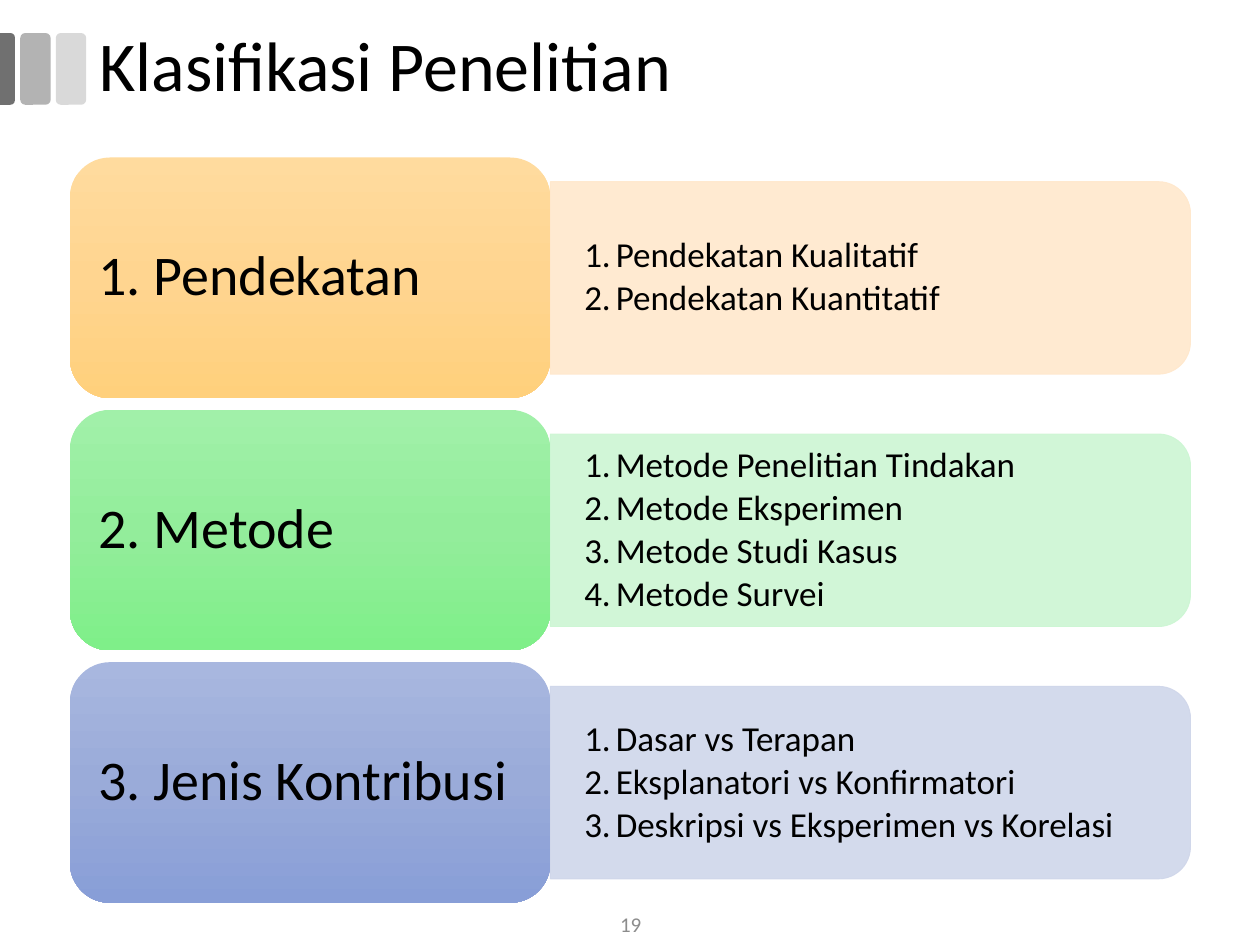
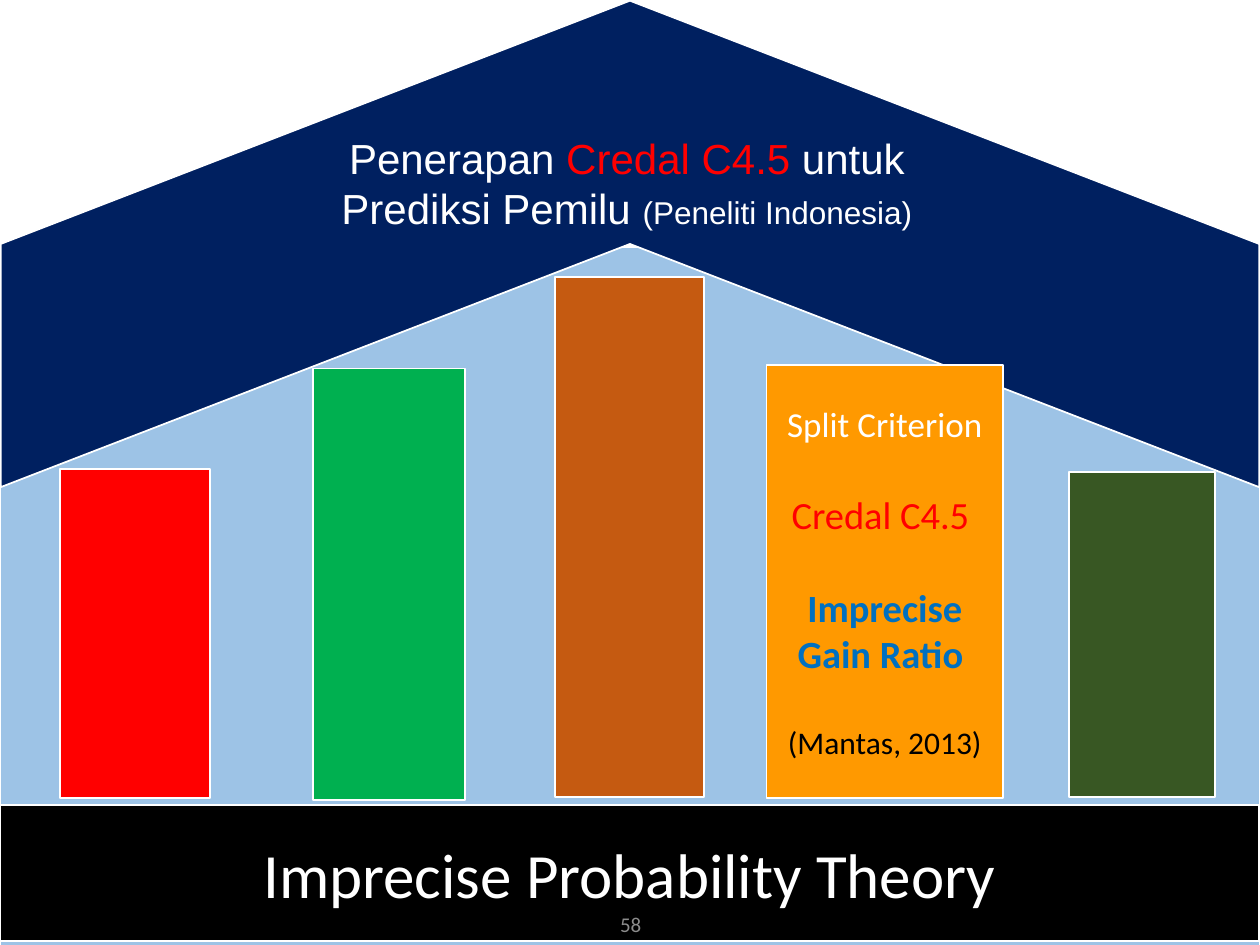
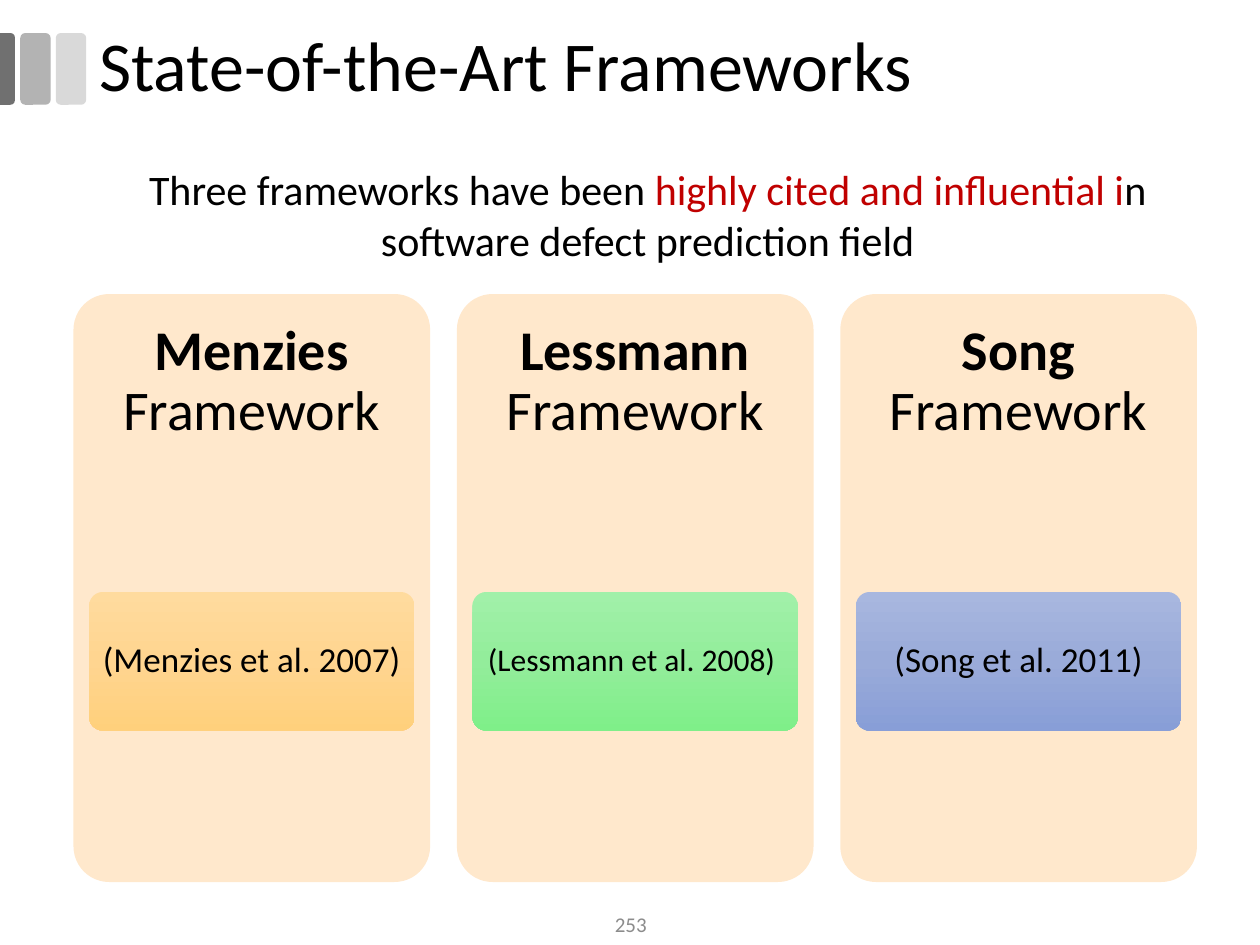
from copy import deepcopy
from dataclasses import dataclass

from lxml import etree
from pptx import Presentation
from pptx.dml.color import RGBColor
from pptx.enum.shapes import MSO_SHAPE as Preset
from pptx.enum.text import MSO_ANCHOR as Anchor, PP_ALIGN as Align
from pptx.oxml.ns import qn
from pptx.util import Pt

BLACK, WHITE, RED = "000000", "FFFFFF", "FF0000"
CREAM = "FFE8CC"
ORANGE_SHADES = ("FFDB9E", "FFD590", "FFD07C")
GREEN_SHADES = ("A1F0A9", "93ED9B", "7FEF89")
BLUE_SHADES = ("A8B7DF", "9AABD9", "889ED7")
SHADES = (ORANGE_SHADES, GREEN_SHADES, BLUE_SHADES)
DEFAULT_INSETS = (7.2, 3.6)


def rgb(color):
    return RGBColor.from_string(color)


@dataclass
class Run:
    text: str
    size: float
    color: str = BLACK
    bold: bool = False
    font: str = "Calibri"


class Deck:
    def __init__(self):
        self.presentation = Presentation()
        self.presentation.slide_width = Pt(720)
        self.presentation.slide_height = Pt(540)
        self.slide = None

    def new_slide(self):
        self.slide = self.presentation.slides.add_slide(self.presentation.slide_layouts[6])

    def titled_slide(self, title):
        self.new_slide()
        self.shape(Preset.ROUNDED_RECTANGLE, (31.9, 18.9, 17.4, 41), "D9D9D9")
        self.shape(Preset.ROUNDED_RECTANGLE, (11.6, 18.9, 17.4, 41), "B3B3B3")
        tab = self.shape(Preset.ROUND_2_SAME_RECTANGLE, (-0.3, 18.9, 8.8, 41), "707070", rotation=90)
        tab.adjustments[0] = 0.29
        self.text_box((49.7, 12.2, 669.6, 54), [[Run(title, 40)]], spacing=0.9)

    def page_number(self, number):
        self.text_box((279.4, 516.2, 162, 23.8), [[Run(str(number), 12, "8C8C8C")]], align=Align.CENTER)

    def shape(self, preset, box, fill, line=None, line_width=1.0, rotation=0, alpha=None):
        """Draw a preset; box is where it shows after a quarter turn, fill a colour or three shades."""
        left, top, width, height = box
        if rotation:
            left, top = left + (width - height) / 2, top + (height - width) / 2
            width, height = height, width
        shape = self.slide.shapes.add_shape(preset, Pt(left), Pt(top), Pt(width), Pt(height))
        shape.shadow.inherit = False
        shape.rotation = rotation
        if isinstance(fill, str):
            shape.fill.solid()
            shape.fill.fore_color.rgb = rgb(fill)
        else:
            self.gradient(shape, fill)
        if line:
            shape.line.color.rgb = rgb(line)
            shape.line.width = Pt(line_width)
        else:
            shape.line.fill.background()
        if alpha:
            for color in list(shape._element.spPr.iter(qn("a:srgbClr"))):
                etree.SubElement(color, qn("a:alpha"), val=str(alpha * 1000))
        return shape

    def gradient(self, shape, shades):
        shape.fill.gradient()
        shape.fill.gradient_angle = 270
        stop_list = shape._element.spPr.find(qn("a:gradFill")).find(qn("a:gsLst"))
        stop_list.append(deepcopy(stop_list[0]))
        for stop, shade, position in zip(shape.fill.gradient_stops, shades, (0, 0.5, 1)):
            stop.color.rgb = rgb(shade)
            stop.position = position

    def text_box(self, box, paragraphs, **style):
        text_box = self.slide.shapes.add_textbox(*(Pt(length) for length in box))
        self.add_text(text_box, paragraphs, **style)

    def add_text(self, shape, paragraphs, align=Align.LEFT, anchor=Anchor.MIDDLE,
                 insets=DEFAULT_INSETS, spacing=1.0, before=0, after=0, numbered=False):
        """Fill a shape with paragraphs, each a list of runs; before skips the first one."""
        frame = shape.text_frame
        frame.word_wrap = True
        frame.vertical_anchor = anchor
        frame.margin_left = frame.margin_right = Pt(insets[0])
        frame.margin_top = frame.margin_bottom = Pt(insets[1])
        for index, runs in enumerate(paragraphs):
            paragraph = frame.add_paragraph() if index else frame.paragraphs[0]
            if numbered:
                self.number(paragraph)
            paragraph.alignment = align
            paragraph.line_spacing = spacing
            if before and index:
                paragraph.space_before = Pt(before)
            if after:
                paragraph.space_after = Pt(after)
            for part in runs:
                run = paragraph.add_run()
                run.text = part.text
                run.font.name = part.font
                run.font.size = Pt(part.size)
                run.font.bold = part.bold
                run.font.color.rgb = rgb(part.color)

    def number(self, paragraph):
        paragraph.level = 1
        properties = paragraph._p.get_or_add_pPr()
        properties.set("marL", str(Pt(18)))
        properties.set("indent", str(-Pt(18)))
        etree.SubElement(properties, qn("a:buFont"), typeface="+mj-lt")
        etree.SubElement(properties, qn("a:buAutoNum"), type="arabicPeriod")


def classification_slide(deck):
    deck.titled_slide("Klasifikasi Penelitian")
    rows = [
        ("1. Pendekatan", CREAM, ["Pendekatan Kualitatif", "Pendekatan Kuantitatif"]),
        ("2. Metode", "CCF6D3", ["Metode Penelitian Tindakan", "Metode Eksperimen",
                                 "Metode Studi Kasus", "Metode Survei"]),
        ("3. Jenis Kontribusi", "CFD6EA", ["Dasar vs Terapan", "Eksplanatori vs Konfirmatori",
                                           "Deskripsi vs Eksperimen vs Korelasi"]),
    ]
    for index, ((heading, tint, items), shades) in enumerate(zip(rows, SHADES)):
        top = 90 + index * 144.2
        deck.shape(Preset.ROUND_2_SAME_RECTANGLE, (314.5, top + 13.8, 365.8, 110), tint,
                   line=tint, line_width=0.5, rotation=90, alpha=90)
        deck.text_box((314.5, top + 19.2, 360, 99.4), [[Run(item, 20)] for item in items],
                      insets=(19.4, 10), spacing=0.9, after=3, numbered=True)
        block = deck.shape(Preset.ROUNDED_RECTANGLE, (39.9, top, 274.6, 137.5), shades)
        deck.add_text(block, [[Run(heading, 32)]], insets=(9.6, 4.8), spacing=0.9)
    deck.page_number(19)


def house_slide(deck):
    deck.new_slide()
    deck.shape(Preset.RECTANGLE, (0, 141, 720, 402), "9DC3E6", line=WHITE)
    deck.shape(Preset.CHEVRON, (0.4, 0.4, 719.2, 278), "002060", line=WHITE, rotation=270)
    roof_label = deck.shape(Preset.RECTANGLE, (180, 72, 356.4, 65.5), "002060")
    deck.add_text(roof_label, [[
        Run("Penerapan ", 24, WHITE, font="Arial"),
        Run("Credal C4.5 ", 24, RED, font="Arial"),
        Run("untuk Prediksi Pemilu ", 24, WHITE, font="Arial"),
        Run("(Peneliti Indonesia)", 18, WHITE, font="Arial"),
    ]], align=Align.CENTER, anchor=Anchor.TOP)

    pillars = [
        ((34.4, 268, 85.6, 188), RED),
        ((610.8, 269.6, 83.5, 185.8), "385723"),
        ((317, 158.3, 85.4, 297.2), "C55A11"),
        ((179, 210.6, 86.7, 246.6), "00B050"),
    ]
    for box, color in pillars:
        deck.shape(Preset.RECTANGLE, box, color, line=WHITE)
    criterion = deck.shape(Preset.RECTANGLE, (438, 208.6, 135.2, 247.6), "FF9900", line=WHITE)
    deck.add_text(criterion, [
        [Run("Split Criterion", 20, WHITE)],
        [Run("Credal C4.5 ", 22, RED)],
        [Run("Imprecise Gain Ratio ", 22, "0070C0", bold=True)],
        [Run("(Mantas, 2013)", 18)],
    ], align=Align.CENTER, before=26.8)

    base = deck.shape(Preset.RECTANGLE, (0.2, 460.2, 719.2, 77.6), BLACK, line=WHITE)
    deck.add_text(base, [[Run("Imprecise Probability Theory", 36, WHITE)]], align=Align.CENTER)
    deck.page_number(58)


def frameworks_slide(deck):
    deck.titled_slide("State-of-the-Art Frameworks")
    frameworks = [
        ("Menzies", "(Menzies et al. 2007)", 20),
        ("Lessmann", "(Lessmann et al. 2008) ", 18),
        ("Song", "(Song et al. 2011)", 20),
    ]
    for index, ((name, citation, size), shades) in enumerate(zip(frameworks, SHADES)):
        left = 42 + index * 219.1
        card = deck.shape(Preset.ROUNDED_RECTANGLE, (left, 168, 203.8, 336), CREAM)
        deck.text_box((left, 168, 203.8, 100.8), [[Run(name, 32, bold=True), Run(" Framework", 32)]],
                      align=Align.CENTER, insets=(9.6, 9.6), spacing=0.9)
        chip = deck.shape(Preset.ROUNDED_RECTANGLE, (left + 8.9, 338.3, 186, 79.2), shades)
        deck.add_text(chip, [[Run(citation, size)]], align=Align.CENTER, insets=(4, 3), spacing=0.9)
        for rounded in (card, chip):
            rounded.adjustments[0] = 0.1
    deck.text_box((49, 90, 642.2, 65.5), [[
        Run("Three frameworks have been ", 24),
        Run("highly cited and influential i", 24, "C00000"),
        Run("n software defect prediction field", 24),
    ]], align=Align.CENTER, anchor=Anchor.TOP)
    deck.page_number(253)


def main():
    deck = Deck()
    classification_slide(deck)
    house_slide(deck)
    frameworks_slide(deck)
    deck.presentation.save("out.pptx")


if __name__ == "__main__":
    main()
